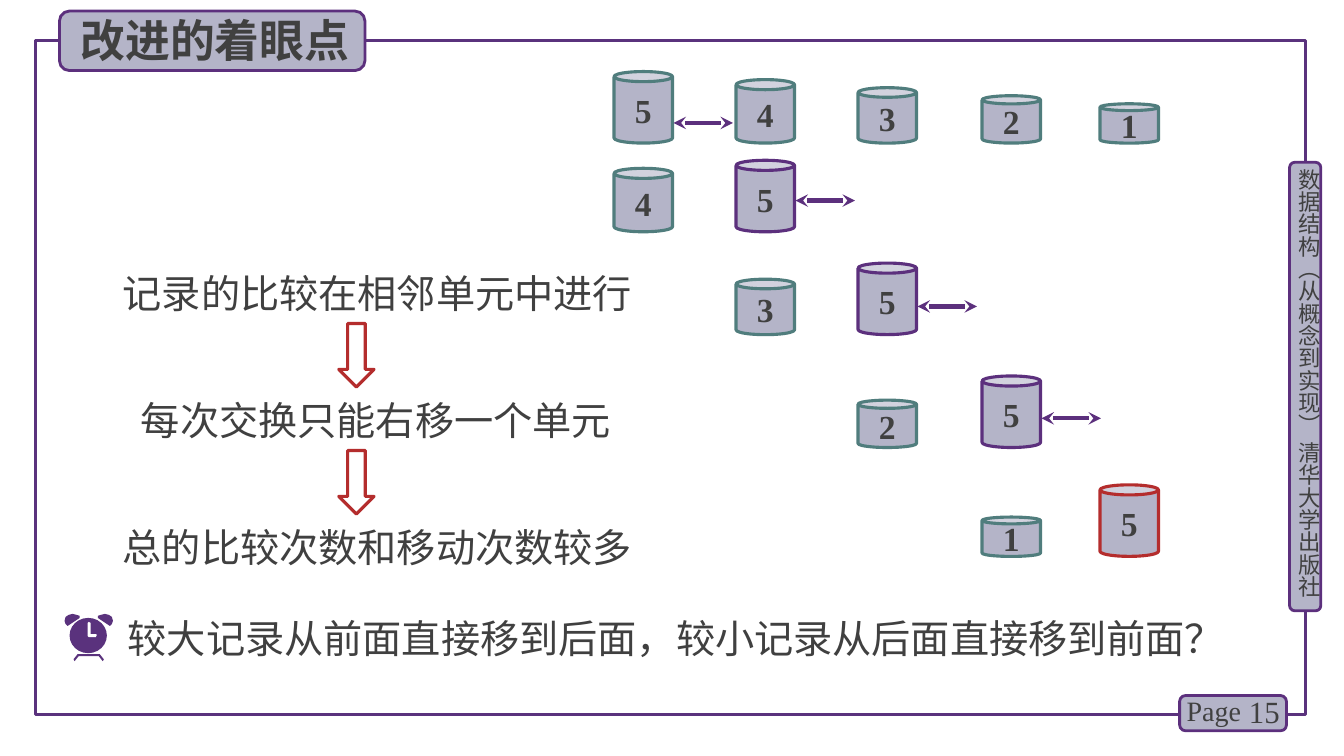
from lxml import etree
from pptx import Presentation
from pptx import util as u
from pptx.dml.color import RGBColor
from pptx.enum import shapes, text
from pptx.oxml.ns import qn

COLORS = {
    "frame": "5A327D", "purple": "5C307D", "teal": "507D7D", "red": "B42D2D",
    "panel": "B4B4C8", "ink": "404040", "white": "FFFFFF",
}
CJK = "Noto Sans CJK SC"
LATIN = "Times New Roman"
MIDDLE = text.MSO_ANCHOR.MIDDLE
SHAPE = shapes.MSO_SHAPE


def rgb(name):
    return RGBColor.from_string(COLORS[name])


class Deck:
    def __init__(self):
        self.prs = Presentation()
        self.prs.slide_width, self.prs.slide_height = u.Inches(13.33), u.Inches(7.5)
        self.slide = self.prs.slides.add_slide(self.prs.slide_layouts[6])

    def paint(self, sp, fill, line, width):
        sp.shadow.inherit = False
        if fill:
            sp.fill.solid()
            sp.fill.fore_color.rgb = rgb(fill)
        else:
            sp.fill.background()
        if line:
            sp.line.color.rgb = rgb(line)
            sp.line.width = u.Pt(width)
        else:
            sp.line.fill.background()
        return sp

    def shape(self, kind, box, fill=None, line=None, width=2.25):
        sp = self.slide.shapes.add_shape(kind, *map(u.Inches, box))
        return self.paint(sp, fill, line, width)

    def set_text(self, tf, words, size, font, bold=False, align=None):
        tf.text = words
        tf.vertical_anchor = MIDDLE
        p = tf.paragraphs[0]
        p.alignment = align
        r = p.runs[0]
        r.font.size, r.font.bold, r.font.name = u.Pt(size), bold, font
        r.font.color.rgb = rgb("ink")
        etree.SubElement(r._r.get_or_add_rPr(), qn("a:ea"), typeface=font)

    def label(self, words, box, size=28, font=CJK, bold=False, align=None):
        tf = self.slide.shapes.add_textbox(*map(u.Inches, box)).text_frame
        tf.word_wrap = True
        self.set_text(tf, words, size, font, bold, align)
        return tf

    def cylinder(self, left, bottom, value, line):
        height = 0.39 + 0.08 * (value - 1)
        sp = self.shape(SHAPE.CAN, (left, bottom - height, 0.58, height), "panel", line)
        sp.adjustments[0] = 0.173
        sp.text_frame.word_wrap = False
        self.set_text(sp.text_frame, str(value), 24, LATIN, True, text.PP_ALIGN.CENTER)

    def swap_arrow(self, left, y):
        ends = map(u.Inches, (left, y, left + 0.59, y))
        cn = self.slide.shapes.add_connector(shapes.MSO_CONNECTOR.STRAIGHT, *ends)
        cn.line.color.rgb = rgb("purple")
        cn.line.width = u.Pt(3)
        for end in ("a:headEnd", "a:tailEnd"):
            etree.SubElement(cn.get_or_add_ln(), qn(end), type="stealth")
        etree.SubElement(cn._element.spPr, qn("a:effectLst"))

    def outline(self, points, fill):
        start, *rest = [(u.Inches(x), u.Inches(y)) for x, y in points]
        builder = self.slide.shapes.build_freeform(*start)
        builder.add_line_segments(rest, close=True)
        self.paint(builder.convert_to_shape(), fill, None, 0)


def main():
    deck = Deck()

    # Frame, side banner and page number
    deck.shape(SHAPE.RECTANGLE, (0.35, 0.4, 12.6, 6.69), line="frame")
    for box in ((12.79, 1.61, 0.31, 4.45), (11.7, 6.9, 1.06, 0.35), (0.59, 0.11, 3.03, 0.59)):
        deck.shape(SHAPE.ROUNDED_RECTANGLE, box, "panel", "purple", 2)
    banner = deck.label("数据结构（从概念到实现） 清华大学出版社", (12.85, 1.67, 0.27, 4.49), 16)
    banner.margin_left = banner.margin_right = banner.margin_top = banner.margin_bottom = 0
    banner._txBody.bodyPr.set("vert", "eaVert")
    deck.label("15", (12.2, 6.86, 0.59, 0.4), 22, LATIN, align=text.PP_ALIGN.RIGHT)
    deck.label("Page", (11.67, 6.83, 0.78, 0.44), 20, LATIN)

    # Title
    deck.label("改进的着眼点", (0.7, 0.07, 2.99, 0.64), 32, bold=True)

    # Initial sequence
    columns = (6.09, 7.3, 8.51, 9.74, 10.91)
    for left, value in zip(columns, (5, 4, 3, 2, 1)):
        deck.cylinder(left, 1.42, value, "teal")
    deck.swap_arrow(6.68, 1.22)

    # Each exchange moves the 5 one cell to the right
    exchanges = ((4, 2.3, 1.99), (3, 3.32, 3.04), (2, 4.44, 4.15), (1, 5.52, None))
    for i, (smaller, bottom, arrow_y) in enumerate(exchanges):
        deck.cylinder(columns[i], bottom, smaller, "teal")
        deck.cylinder(columns[i + 1], bottom, 5, "purple" if arrow_y else "red")
        if arrow_y:
            deck.swap_arrow(columns[i + 1] + 0.59, arrow_y)

    # Chain of reasoning
    reasons = ((1.12, "记录的比较在相邻单元中进行"), (1.3, "每次交换只能右移一个单元"),
               (1.12, "总的比较次数和移动次数较多"))
    for i, (left, words) in enumerate(reasons):
        top = 2.62 + 1.26 * i
        deck.label(words, (left, top, 5.45, 0.57))
        if i < len(reasons) - 1:
            arrow = deck.shape(SHAPE.RIGHT_ARROW, (3.22, top + 0.73, 0.63, 0.35), line="red")
            arrow.rotation = 90

    # Closing question
    deck.label("较大记录从前面直接移到后面，较小记录从后面直接移到前面？", (1.17, 6.04, 11.27, 0.57))

    # Alarm clock: feet, bells, face, hands
    deck.outline([(0.73, 6.54), (0.77, 6.49), (0.99, 6.49), (1.03, 6.54), (1.02, 6.56),
                  (0.98, 6.51), (0.78, 6.51), (0.74, 6.56)], "frame")
    bell = [(0.72, 6.09), (0.68, 6.1), (0.65, 6.12), (0.64, 6.16), (0.65, 6.19),
            (0.67, 6.21), (0.79, 6.13), (0.79, 6.11), (0.76, 6.1)]
    deck.outline(bell, "frame")
    deck.outline([(1.76 - x, y) for x, y in bell], "frame")
    deck.shape(SHAPE.OVAL, (0.69, 6.13, 0.37, 0.35), "frame")
    deck.outline([(0.87, 6.18), (0.88, 6.17), (0.9, 6.18), (0.9, 6.29), (0.95, 6.29),
                  (0.96, 6.3), (0.95, 6.32), (0.88, 6.32), (0.87, 6.31)], "white")

    deck.prs.save("out.pptx")


if __name__ == "__main__":
    main()
